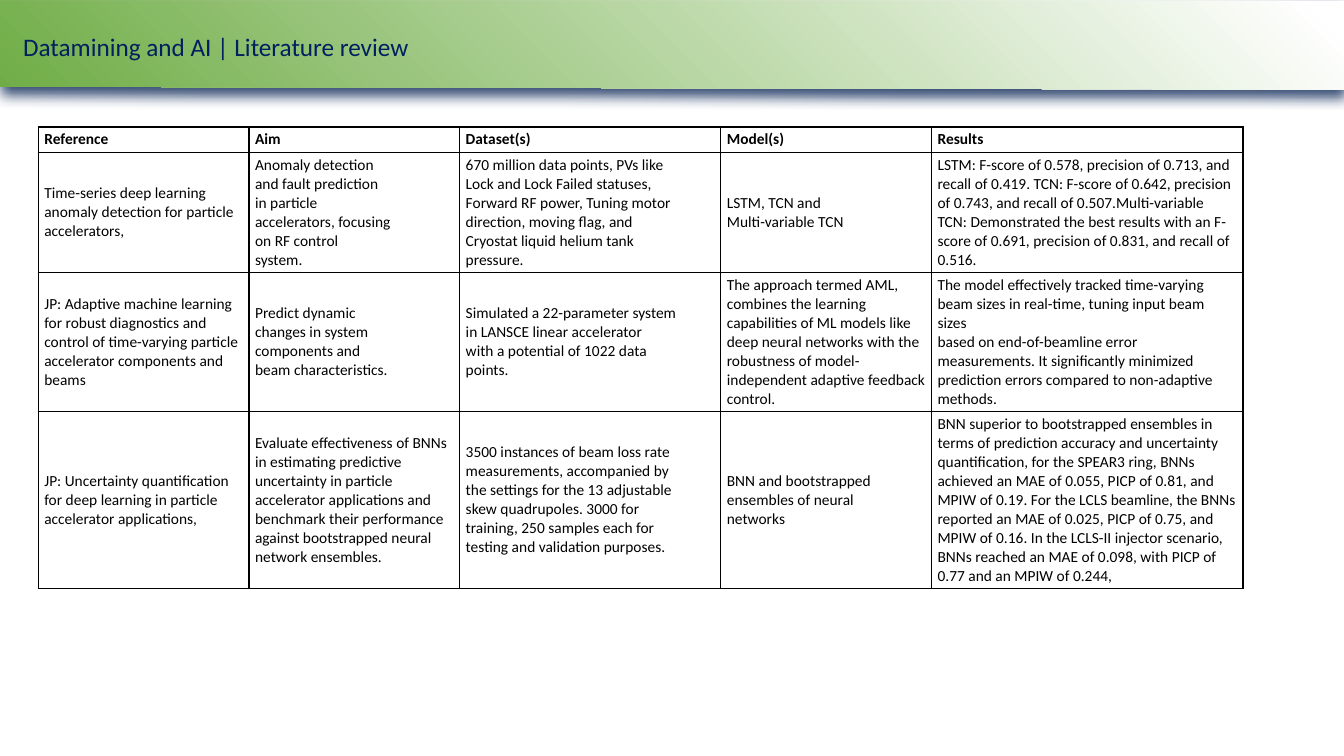
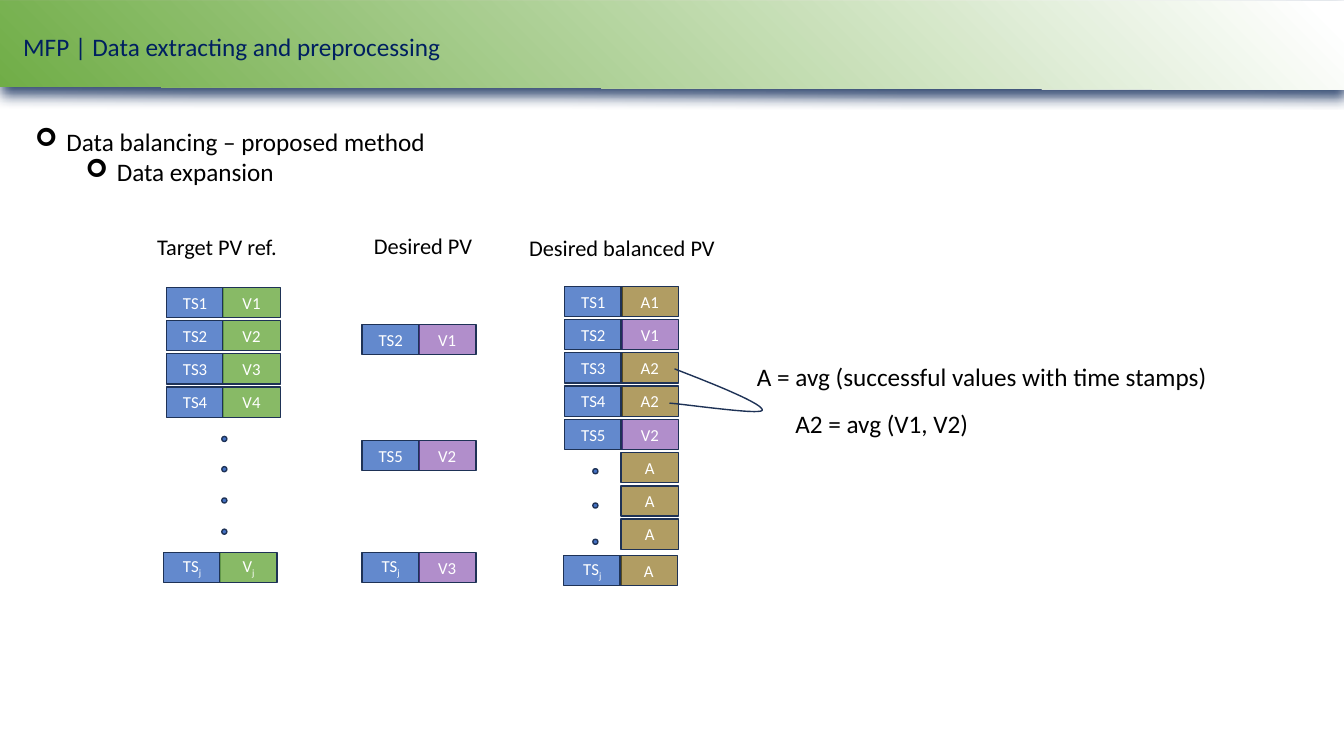
from lxml.etree import SubElement
from pptx import Presentation
from pptx.dml.color import RGBColor
from pptx.enum.shapes import MSO_SHAPE
from pptx.enum.text import MSO_ANCHOR, MSO_AUTO_SIZE, PP_ALIGN
from pptx.oxml.ns import qn
from pptx.util import Inches, Pt

COLORS = {
    "title": "002060", "text": "000000", "light": "FFFFFF", "outline": "1E3256",
    "green": "70AD47", "blue": "4472C4", "purple": "7030A0", "gold": "806000",
    "shadow": "1F3864",
}
OPACITY = {"blue": 83, "green": 83, "purple": 54, "gold": 61}
FONT = "Calibri"
BOX_WIDTH, BOX_HEIGHT, BOX_STEP, ROW_STEP = 0.57, 0.3, 0.56, 0.33
DOT_SIZE = 0.05

COLUMN_WIDTHS = [2.09, 2.09, 2.59, 2.09, 3.09]
ROW_HEIGHTS = [0.25, 1.16, 1.35, 1.71]
REVIEW = [
    ["Reference", "Aim", "Dataset(s)", "Model(s)", "Results"],
    [
        "Time-series deep learning anomaly detection for particle\naccelerators,",
        "Anomaly detection\nand fault prediction\nin particle\naccelerators, focusing\n"
        "on RF control\nsystem.",
        "670 million data points, PVs like\nLock and Lock Failed statuses,\n"
        "Forward RF power, Tuning motor\ndirection, moving flag, and\n"
        "Cryostat liquid helium tank\npressure.",
        "LSTM, TCN and\nMulti-variable TCN",
        "LSTM: F-score of 0.578, precision of 0.713, and recall of 0.419. "
        "TCN: F-score of 0.642, precision of 0.743, and recall of 0.507."
        "Multi-variable TCN: Demonstrated the best results with an F-score of 0.691, "
        "precision of 0.831, and recall of 0.516.",
    ],
    [
        "JP: Adaptive machine learning for robust diagnostics and control of "
        "time-varying particle accelerator components and\nbeams",
        "Predict dynamic\nchanges in system\ncomponents and\nbeam characteristics.",
        "Simulated a 22-parameter system\nin LANSCE linear accelerator\n"
        "with a potential of 1022 data\npoints.",
        "The approach termed AML, combines the learning capabilities of ML models like "
        "deep neural networks with the robustness of model-independent adaptive "
        "feedback control.",
        "The model effectively tracked time-varying beam sizes in real-time, tuning "
        "input beam sizes\nbased on end-of-beamline error measurements. It significantly "
        "minimized prediction errors compared to non-adaptive\nmethods.",
    ],
    [
        "JP: Uncertainty quantification\n"
        "for deep learning in particle accelerator applications,",
        "Evaluate effectiveness of BNNs in estimating predictive uncertainty in particle "
        "accelerator applications and benchmark their performance against bootstrapped "
        "neural network ensembles.",
        "3500 instances of beam loss rate\nmeasurements, accompanied by\n"
        "the settings for the 13 adjustable\nskew quadrupoles. 3000 for\n"
        "training, 250 samples each for\ntesting and validation purposes.",
        "BNN and bootstrapped ensembles of neural\nnetworks",
        "BNN superior to bootstrapped ensembles in terms of prediction accuracy and "
        "uncertainty\nquantification, for the SPEAR3 ring, BNNs achieved an MAE of 0.055, "
        "PICP of 0.81, and MPIW of 0.19. For the LCLS beamline, the BNNs reported an MAE "
        "of 0.025, PICP of 0.75, and MPIW of 0.16. In the LCLS-II injector scenario, BNNs "
        "reached an MAE of 0.098, with PICP of 0.77 and an MPIW of 0.244,",
    ],
]

LABELS = [
    (1.46, 2.26, 1.41, 16, "Target PV ref."),
    (3.61, 2.25, 1.19, 16, "Desired PV"),
    (5.15, 2.27, 2.06, 16, "Desired balanced PV"),
    (7.41, 3.54, 4.77, 18, "A = avg (successful values with time stamps)"),
    (7.79, 4.0, 1.94, 18, "A2 = avg (V1, V2)"),
]
DESIRED = [(3.22, "TS2", "V1"), (4.37, "TS5", "V2"), (5.48, "TSj", "V3")]
BALANCED = [
    ("TS1", "A1"), ("TS2", "V1"), ("TS3", "A2"), ("TS4", "A2"), ("TS5", "V2"),
    ("", "A"), ("", "A"), ("", "A"),
]
DOTS = [(2.2, (4.33, 4.63, 4.94, 5.25)), (5.88, (4.65, 4.99, 5.35))]


def rgb(color):
    return RGBColor.from_string(COLORS[color])


def apply_format(target, values):
    for name, value in values.items():
        setattr(target, name, value)


def format_font(font, size, color="text", bold=False):
    apply_format(font, {"name": FONT, "size": Pt(size), "bold": bold})
    font.color.rgb = rgb(color)


def add_span(para, text, size, color="text"):
    span = para.add_run()
    span.text = text
    format_font(span.font, size, color)
    return span


def add_text(page, left, top, width, height, wrap=False):
    box = page.shapes.add_textbox(Inches(left), Inches(top), Inches(width), Inches(height))
    box.text_frame.word_wrap = wrap
    return box.text_frame


def add_outline(page, points, close):
    start, *rest = [(Inches(x), Inches(y)) for x, y in points]
    builder = page.shapes.build_freeform(*start)
    builder.add_line_segments(rest, close=close)
    shape = builder.convert_to_shape()
    shape.shadow.inherit = False
    return shape


def add_band(page):
    band = add_outline(page, [(0, 0.01), (13.33, 0.01), (13.34, 0.89), (0, 0.86)], True)
    band.line.fill.background()
    band.fill.gradient()
    for stop, color, position in zip(band.fill.gradient_stops, ("green", "light"), (0, 0.98)):
        stop.color.rgb = rgb(color)
        stop.position = position
    properties = band._element.spPr
    gradient = properties.find(qn("a:gradFill"))
    gradient.remove(gradient.find(qn("a:lin")))
    circle = SubElement(gradient, qn("a:path"), {"path": "circle"})
    SubElement(circle, qn("a:fillToRect"), {"t": "100000", "r": "100000"})
    shadow = SubElement(
        properties.find(qn("a:effectLst")), qn("a:outerShdw"),
        {"blurRad": str(Pt(9)), "dist": str(Pt(5)), "dir": "5400000", "rotWithShape": "0"},
    )
    shade = SubElement(shadow, qn("a:srgbClr"), {"val": COLORS["shadow"]})
    SubElement(shade, qn("a:alpha"), {"val": "90000"})
    return band


def add_page(deck, layout, text):
    page = deck.slides.add_slide(layout)
    title = page.shapes.title
    apply_format(title, {
        "left": Inches(0.13), "top": Inches(0.26),
        "width": Inches(10.99), "height": Inches(0.4),
    })
    apply_format(title.text_frame, {
        "vertical_anchor": MSO_ANCHOR.MIDDLE, "auto_size": MSO_AUTO_SIZE.NONE,
        "word_wrap": True,
    })
    para = title.text_frame.paragraphs[0]
    para.alignment = PP_ALIGN.LEFT
    add_span(para, text, 18, "title")
    return page


def add_borders(cell):
    properties = cell._tc.get_or_add_tcPr()
    for index, side in enumerate(("lnL", "lnR", "lnT", "lnB")):
        border = SubElement(properties, qn(f"a:{side}"), {"w": str(Pt(1))})
        fill = SubElement(border, qn("a:solidFill"))
        SubElement(fill, qn("a:srgbClr"), {"val": COLORS["text"]})
        properties.insert(index, border)


def fill_cell(cell, text, header):
    cell.text = text
    cell.fill.background()
    apply_format(cell, {
        "margin_left": Inches(0.06), "margin_right": Inches(0.06),
        "margin_top": Inches(0.03), "margin_bottom": Inches(0.03),
        "vertical_anchor": MSO_ANCHOR.BOTTOM if header else MSO_ANCHOR.MIDDLE,
    })
    for para in cell.text_frame.paragraphs:
        for span in para.runs:
            format_font(span.font, 11, bold=header)
    add_borders(cell)


def add_review_table(page):
    frame = page.shapes.add_table(
        len(REVIEW), len(COLUMN_WIDTHS), Inches(0.38), Inches(1.26),
        Inches(sum(COLUMN_WIDTHS)), Inches(sum(ROW_HEIGHTS)),
    )
    table = frame.table
    apply_format(table, {"first_row": False, "horz_banding": False})
    for column, width in zip(table.columns, COLUMN_WIDTHS):
        column.width = Inches(width)
    for row, height, texts in zip(table.rows, ROW_HEIGHTS, REVIEW):
        row.height = Inches(height)
        for cell, text in zip(row.cells, texts):
            fill_cell(cell, text, texts is REVIEW[0])


def add_bullets(page, texts):
    frame = add_text(page, 0.25, 1.2, 12.41, 0.71, wrap=True)
    for level, text in enumerate(texts):
        para = frame.add_paragraph() if level else frame.paragraphs[0]
        para.level = level
        properties = para._p.get_or_add_pPr()
        properties.set("marL", str(Inches(0.31 + 0.5 * level)))
        properties.set("indent", str(Inches(-0.31)))
        SubElement(properties, qn("a:buFont"), {"typeface": "Wingdings"})
        SubElement(properties, qn("a:buChar"), {"char": "➢"})
        add_span(para, text, 18)


def add_figure(page, kind, left, top, width, height, color):
    shape = page.shapes.add_shape(
        kind, Inches(left), Inches(top), Inches(width), Inches(height))
    shape.shadow.inherit = False
    shape.fill.solid()
    shape.fill.fore_color.rgb = rgb(color)
    shape.line.color.rgb = rgb("outline")
    shape.line.width = Pt(1)
    return shape


def add_box(page, left, top, label, color):
    box = add_figure(page, MSO_SHAPE.RECTANGLE, left, top, BOX_WIDTH, BOX_HEIGHT, color)
    shade = box._element.spPr.find(qn("a:solidFill")).find(qn("a:srgbClr"))
    SubElement(shade, qn("a:alpha"), {"val": str(OPACITY[color] * 1000)})
    box.text_frame.vertical_anchor = MSO_ANCHOR.MIDDLE
    para = box.text_frame.paragraphs[0]
    para.alignment = PP_ALIGN.CENTER
    add_span(para, label.removesuffix("j"), 12, "light")
    if label.endswith("j"):
        index = add_span(para, "j", 12, "light")
        index._r.get_or_add_rPr().set("baseline", "-25000")


def add_pair(page, left, top, stamp, value, color):
    if stamp:
        add_box(page, left, top, stamp, "blue")
    add_box(page, left + BOX_STEP, top, value, color)


def add_loop(page):
    curves = [
        [(6.69, 3.66), (7.13, 3.83), (7.57, 4.01), (7.56, 4.07)],
        [(7.56, 4.07), (7.55, 4.12), (6.87, 4.02), (6.64, 4.0)],
    ]
    steps = 24
    points = []
    for curve in curves:
        for step in range(steps + 1):
            t = step / steps
            weights = ((1 - t) ** 3, 3 * t * (1 - t) ** 2, 3 * t * t * (1 - t), t ** 3)
            points.append([sum(w * v for w, v in zip(weights, axis)) for axis in zip(*curve)])
    loop = add_outline(page, points, False)
    loop.fill.background()
    loop.line.color.rgb = rgb("outline")
    loop.line.width = Pt(1)


def add_expansion(page):
    for left, top, width, size, text in LABELS:
        frame = add_text(page, left, top, width, 0.4 if size == 18 else 0.37)
        add_span(frame.paragraphs[0], text, size)
    for row in range(4):
        add_pair(page, 1.65, 2.85 + row * ROW_STEP, f"TS{row + 1}", f"V{row + 1}", "green")
    add_pair(page, 1.62, 5.48, "TSj", "Vj", "green")
    for top, stamp, value in DESIRED:
        add_pair(page, 3.59, top, stamp, value, "purple")
    for row, (stamp, value) in enumerate(BALANCED):
        color = "purple" if value.startswith("V") else "gold"
        add_pair(page, 5.6, 2.84 + row * ROW_STEP, stamp, value, color)
    add_pair(page, 5.59, 5.51, "TSj", "A", "gold")
    for left, tops in DOTS:
        for top in tops:
            add_figure(page, MSO_SHAPE.OVAL, left, top, DOT_SIZE, DOT_SIZE, "blue")
    add_loop(page)


def main():
    deck = Presentation()
    apply_format(deck, {"slide_width": Inches(13.33), "slide_height": Inches(7.5)})
    layout = deck.slide_layouts[5]

    review = add_page(deck, layout, "Datamining and AI | Literature review")
    layout.shapes._spTree.insert(2, add_band(review)._element)
    add_review_table(review)

    expansion = add_page(deck, layout, "MFP | Data extracting and preprocessing")
    add_bullets(expansion, ["Data balancing – proposed method", "Data expansion"])
    add_expansion(expansion)
    deck.save("out.pptx")


if __name__ == "__main__":
    main()
